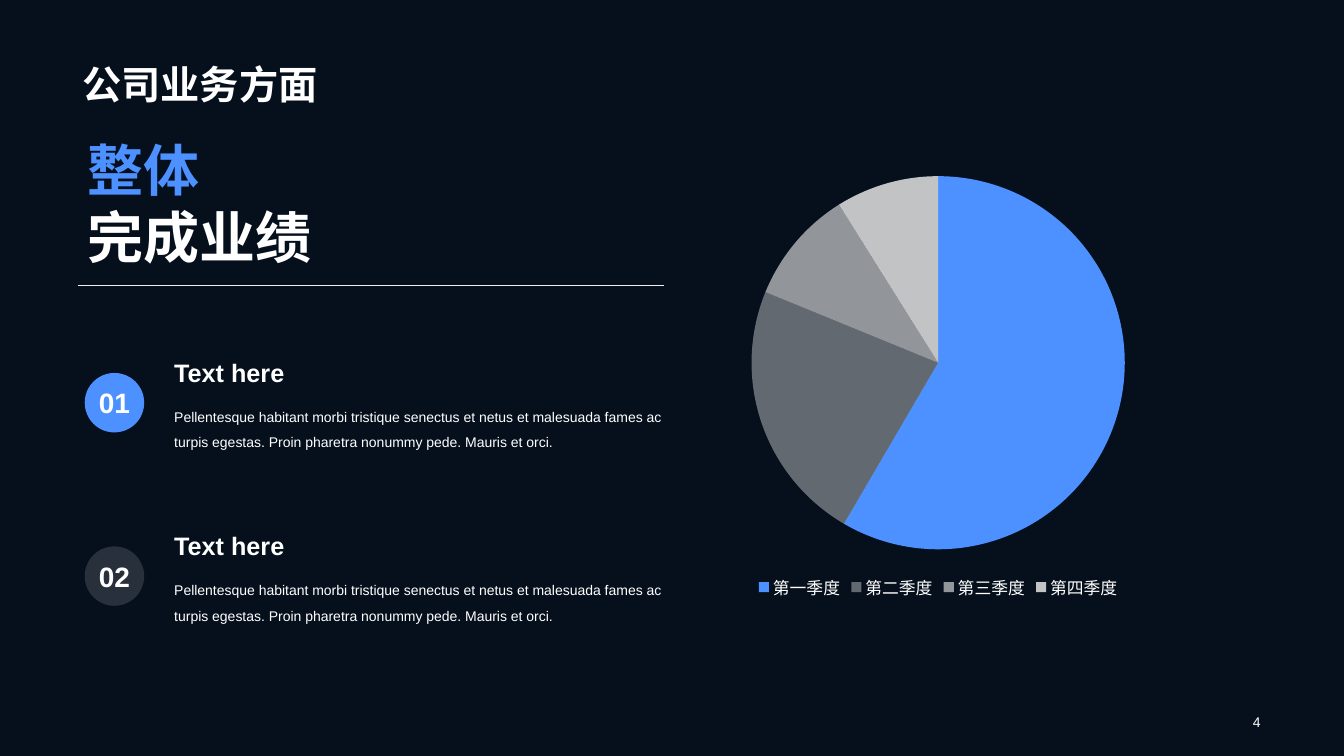
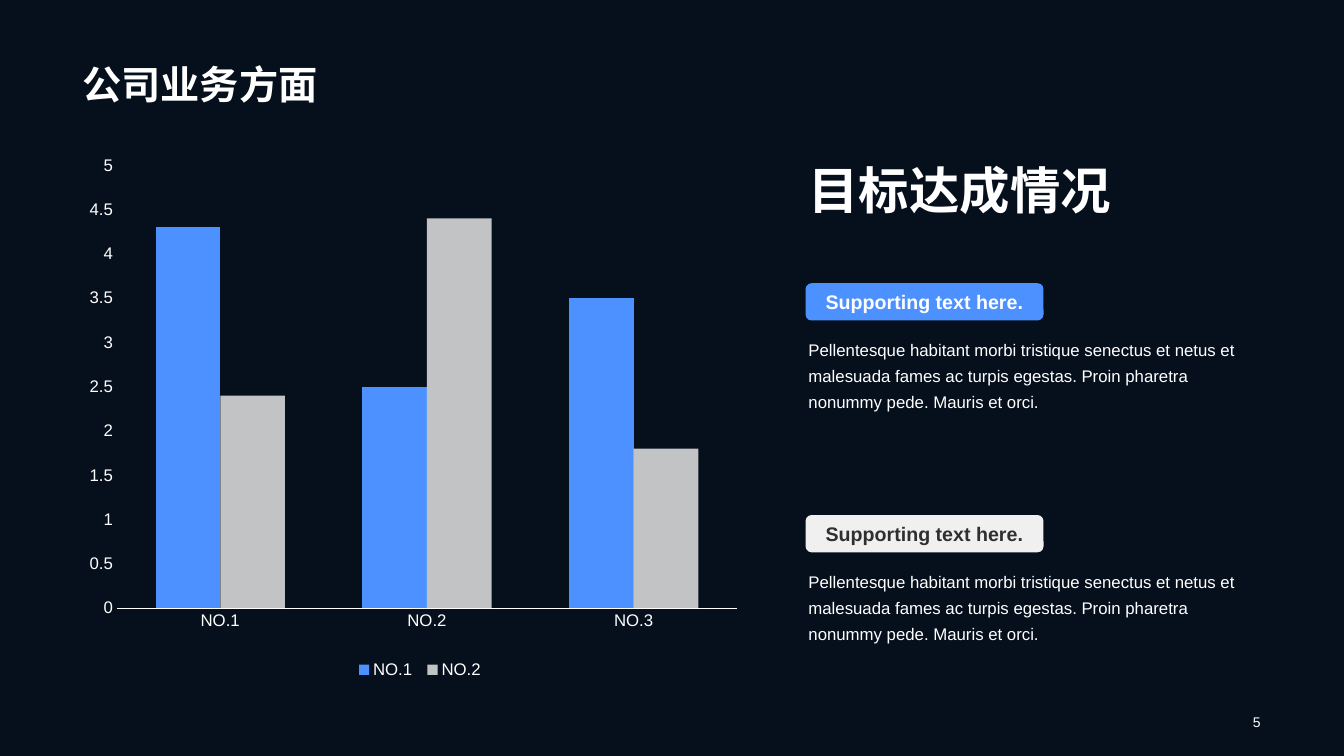
from lxml.etree import SubElement
from pptx import Presentation
from pptx.chart.data import CategoryChartData
from pptx.dml.color import RGBColor
from pptx.enum.chart import XL_CHART_TYPE as ChartType, XL_LEGEND_POSITION as LegendPosition
from pptx.enum.chart import XL_TICK_MARK as TickMark
from pptx.enum.lang import MSO_LANGUAGE_ID as Language
from pptx.enum.shapes import MSO_CONNECTOR as Connector, MSO_SHAPE as Shape
from pptx.enum.text import MSO_ANCHOR as Anchor, PP_ALIGN as Align
from pptx.oxml.ns import qn
from pptx.util import Inches, Pt

NAVY = RGBColor(0x06, 0x0F, 0x1C)
BLUE = RGBColor(0x4C, 0x91, 0xFF)
WHITE = RGBColor(0xFF, 0xFF, 0xFF)
PALE = RGBColor(0xF0, 0xF0, 0xF0)
INK = RGBColor(0x2F, 0x2F, 0x2F)
FONT = "Arial"

SECTION = "公司业务方面"
BODY = ("Pellentesque habitant morbi tristique senectus et netus et malesuada fames ac "
        "turpis egestas. Proin pharetra nonummy pede. Mauris et orci.")


def write(paragraph, text, size=12, color=WHITE, bold=False, align=Align.LEFT, spacing=None):
    paragraph.alignment = align
    if spacing:
        paragraph.line_spacing = spacing
    run = paragraph.add_run()
    run.text = text
    font = run.font
    font.name, font.size, font.bold = FONT, Pt(size), bold
    font.color.rgb = color
    if not text.isascii():
        font.language_id = Language.SIMPLIFIED_CHINESE


def paint(fill, color, opacity=100):
    fill.solid()
    fill.fore_color.rgb = color
    if opacity < 100:
        swatch = fill._xPr.find(qn("a:solidFill"))[0]
        SubElement(swatch, qn("a:alpha")).set("val", str(opacity * 1000))


def place(owner, index, x, y, w, h, inner=False):
    for old in owner.findall(qn("c:layout")):
        owner.remove(old)
    layout = SubElement(owner, qn("c:layout"))
    manual = SubElement(layout, qn("c:manualLayout"))
    settings = [("layoutTarget", "inner")] if inner else []
    settings += [("xMode", "edge"), ("yMode", "edge"), ("x", x), ("y", y), ("w", w), ("h", h)]
    for tag, value in settings:
        SubElement(manual, qn(f"c:{tag}")).set("val", str(value))
    owner.insert(index, layout)


def style_font(font, size):
    font.name, font.size = FONT, Pt(size)
    font.color.rgb = WHITE


class Deck:
    def __init__(self):
        self.file = Presentation()
        self.file.slide_width, self.file.slide_height = Inches(13.33), Inches(7.5)
        self.slide = None

    def new_slide(self, title, number):
        self.slide = self.file.slides.add_slide(self.file.slide_layouts[6])
        paint(self.slide.background.fill, NAVY)
        self.text(0.72, 0, 11.88, 1.12, title, anchor=Anchor.BOTTOM,
                  size=28, bold=True, spacing=0.9)
        self.text(9.69, 7.04, 2.91, 0.24, str(number), anchor=Anchor.MIDDLE,
                  size=10, align=Align.RIGHT)

    def text(self, x, y, w, h, words, anchor=Anchor.TOP, **style):
        frame = self.slide.shapes.add_textbox(
            Inches(x), Inches(y), Inches(w), Inches(h)).text_frame
        frame.word_wrap = True
        frame.vertical_anchor = anchor
        write(frame.paragraphs[0], words, **style)
        return frame

    def badge(self, x, y, w, h, words, rounding, fill, opacity=100, wrap=True, **style):
        badge = self.slide.shapes.add_shape(
            Shape.ROUNDED_RECTANGLE, Inches(x), Inches(y), Inches(w), Inches(h))
        badge.shadow.inherit = False
        badge.adjustments[0] = rounding
        paint(badge.fill, fill, opacity)
        badge.line.fill.background()
        frame = badge.text_frame
        frame.word_wrap = wrap
        frame.vertical_anchor = Anchor.MIDDLE
        write(frame.paragraphs[0], words, bold=True, align=Align.CENTER, **style)

    def rule(self, x, y, w):
        rule = self.slide.shapes.add_connector(
            Connector.STRAIGHT, Inches(x), Inches(y), Inches(x + w), Inches(y))
        rule.line.color.rgb = PALE
        rule.line.width = Pt(0.5)
        SubElement(rule._element.spPr, qn("a:effectLst"))

    def chart(self, kind, x, y, w, h, categories, series):
        data = CategoryChartData()
        data.categories = categories
        for name, values in series:
            data.add_series(name, values)
        chart = self.slide.shapes.add_chart(
            kind, Inches(x), Inches(y), Inches(w), Inches(h), data).chart
        chart.has_title = False
        style_font(chart.font, 10)
        chart.has_legend = True
        chart.legend.position = LegendPosition.BOTTOM
        chart.legend.include_in_layout = False
        style_font(chart.legend.font, 12)
        return chart

    def pie(self, x, y, w, h, categories, series, fills):
        chart = self.chart(ChartType.PIE, x, y, w, h, categories, [series])
        plot = chart.plots[0]
        plot.vary_by_categories = True
        for index, fill in enumerate(fills):
            look = plot.series[0].points[index].format
            paint(look.fill, *fill)
            look.line.fill.background()

    def columns(self, x, y, w, h, categories, series, fills):
        chart = self.chart(ChartType.COLUMN_CLUSTERED, x, y, w, h, categories, series)
        plot = chart.plots[0]
        plot.vary_by_categories = False
        plot.gap_width, plot.overlap = 120, 0
        for column, fill in zip(plot.series, fills):
            paint(column.format.fill, *fill)
            column.format.line.fill.background()
        for axis in (chart.category_axis, chart.value_axis):
            axis.major_tick_mark = axis.minor_tick_mark = TickMark.NONE
            axis.has_major_gridlines = False
            style_font(axis.tick_labels.font, 12)
        base = chart.category_axis.format.line
        base.color.rgb = WHITE
        base.width = Pt(0.75)
        scale = chart.value_axis
        scale.format.line.fill.background()
        scale.minimum_scale, scale.maximum_scale, scale.major_unit = 0, 5, 0.5
        place(chart._chartSpace.find(".//" + qn("c:plotArea")), 0,
              0.07, 0.02, 0.88, 0.79, inner=True)
        place(chart.legend._element, 1, 0.4, 0.89, 0.2, 0.06)

    def numbered_item(self, y, number, fill, opacity):
        self.text(1.63, y, 5.03, 0.4, "Text here", anchor=Anchor.BOTTOM, size=18, bold=True)
        self.text(1.63, y + 0.43, 5.03, 0.57, BODY, size=10, spacing=1.5)
        self.badge(0.84, y + 0.21, 0.59, 0.59, f"{number:02}", 0.5, fill, opacity,
                   wrap=False, size=20)

    def labelled_item(self, y, fill, color):
        self.badge(7.99, y, 2.36, 0.37, "Supporting text here.", 0.16, fill,
                   size=14, color=color)
        self.text(7.92, y + 0.45, 4.5, 0.86, BODY, spacing=1.3)


def build_results(deck):
    deck.new_slide(SECTION, 4)
    deck.pie(6.02, 1.61, 6.57, 4.38, ["第一季度", "第二季度", "第三季度", "第四季度"],
             ("Series 1", [59, 23, 10, 9]),
             [(BLUE, 100), (PALE, 40), (PALE, 60), (PALE, 80)])
    heading = deck.text(0.77, 1.29, 4.81, 1.45, "整体", size=40, color=BLUE, bold=True)
    write(heading.add_paragraph(), "完成业绩", size=40, bold=True)
    deck.rule(0.77, 2.83, 5.82)
    for index, (fill, opacity) in enumerate([(BLUE, 100), (PALE, 15)]):
        deck.numbered_item(3.49 + 1.72 * index, index + 1, fill, opacity)


def build_targets(deck):
    deck.new_slide(SECTION, 5)
    deck.columns(0.67, 1.53, 6.99, 5.56, ["NO.1", "NO.2", "NO.3"],
                 [("NO.1", [4.3, 2.5, 3.5]), ("NO.2", [2.4, 4.4, 1.8])],
                 [(BLUE, 100), (PALE, 80)])
    deck.text(7.92, 1.53, 4.75, 0.71, "目标达成情况", size=36, bold=True)
    for index, (fill, color) in enumerate([(BLUE, WHITE), (PALE, INK)]):
        deck.labelled_item(2.81 + 2.3 * index, fill, color)


def main():
    deck = Deck()
    build_results(deck)
    build_targets(deck)
    deck.file.save("out.pptx")


if __name__ == "__main__":
    main()
